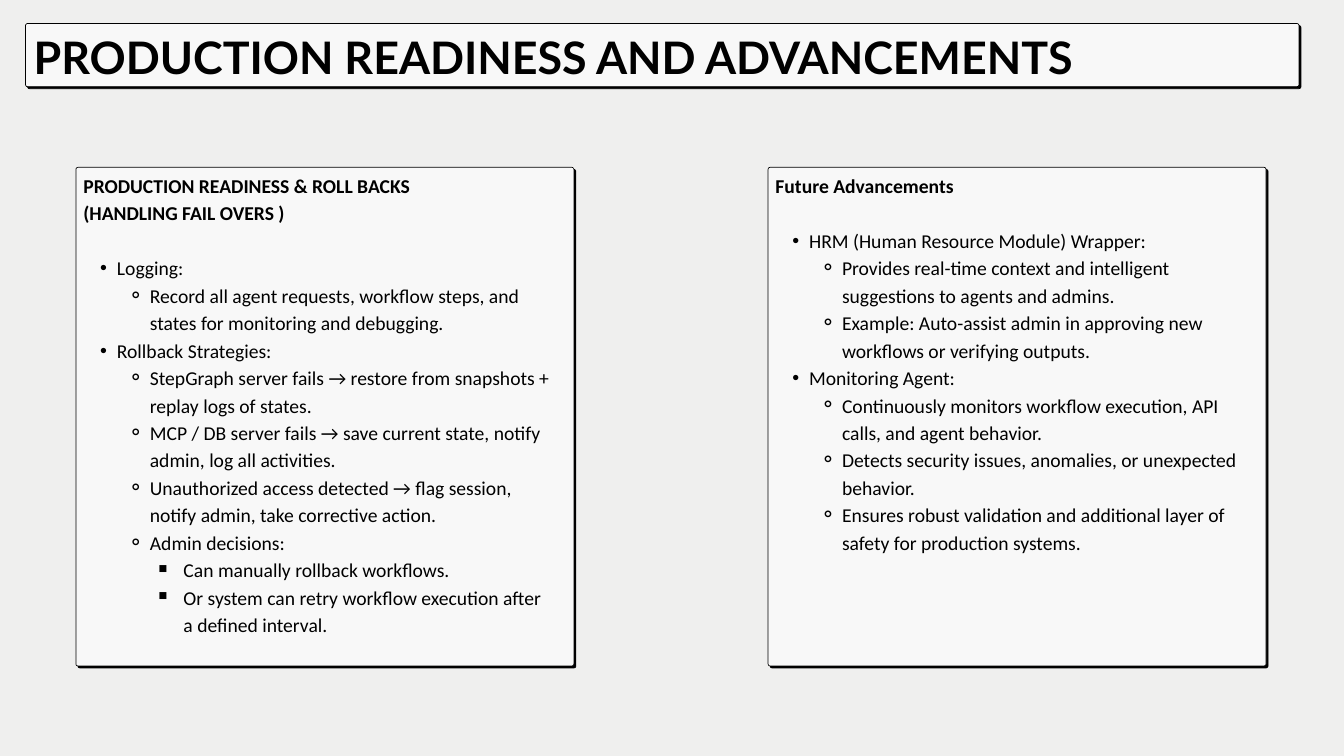
from lxml.etree import SubElement
from pptx import Presentation
from pptx.dml.color import RGBColor
from pptx.enum.shapes import MSO_SHAPE as Preset
from pptx.enum.text import MSO_ANCHOR as Anchor, MSO_AUTO_SIZE as AutoSize, PP_ALIGN as Align
from pptx.oxml.ns import qn
from pptx.util import Inches, Pt

COLORS = {"background": "EFEFEE", "panel": "F8F8F8", "ink": "000000"}
GRID = Inches(0.1)
COLUMNS, ROWS = 200, 112.5
CORNER, SHADOW_STEP = 0.3, 0.3
TITLE_BOX = (3.8, 3.5, 189.5, 9.4)
PANEL_TOP, PANEL_WIDTH, PANEL_HEIGHT = 24.9, 74.1, 74.2
PANEL_LEFTS = (11.3, 114.3)
BODY_LINE, HEADING_GAP = 29.4, 29.4

BULLETS = {1: ("•", 0.5, -0.25), 2: ("⚬", 0.99, -0.33), 3: ("￭", 1.49, -0.37)}

TITLE = "PRODUCTION READINESS AND ADVANCEMENTS"
READINESS = [
    (0, "PRODUCTION READINESS & ROLL BACKS"),
    (0, "(HANDLING FAIL OVERS )"),
    (1, "Logging:"),
    (2, "Record all agent requests, workflow steps, and states for monitoring and debugging."),
    (1, "Rollback Strategies:"),
    (2, "StepGraph server fails → restore from snapshots + replay logs of states."),
    (2, "MCP / DB server fails → save current state, notify admin, log all activities."),
    (2, "Unauthorized access detected → flag session, notify admin, take corrective action."),
    (2, "Admin decisions:"),
    (3, "Can manually rollback workflows."),
    (3, "Or system can retry workflow execution after a defined interval."),
]
ADVANCEMENTS = [
    (0, "Future Advancements"),
    (1, "HRM (Human Resource Module) Wrapper:"),
    (2, "Provides real-time context and intelligent suggestions to agents and admins."),
    (2, "Example: Auto-assist admin in approving new workflows or verifying outputs."),
    (1, "Monitoring Agent:"),
    (2, "Continuously monitors workflow execution, API calls, and agent behavior."),
    (2, "Detects security issues, anomalies, or unexpected behavior."),
    (2, "Ensures robust validation and additional layer of safety for production systems."),
]


def color(name):
    """Return the named palette colour."""
    return RGBColor.from_string(COLORS[name])


def units(*cells):
    """Turn grid cells into slide lengths."""
    return [round(cell * GRID) for cell in cells]


def add_card(slide, left, top, width, height):
    """Draw an outlined rounded panel above its hard offset shadow."""
    for step, fill in ((SHADOW_STEP, "ink"), (0, "panel")):
        box = units(left + step, top + step, width, height)
        card = slide.shapes.add_shape(Preset.ROUNDED_RECTANGLE, *box)
        card.adjustments[0] = CORNER / min(width, height)
        card.shadow.inherit = False
        card.fill.solid()
        card.fill.fore_color.rgb = color(fill)
        card.line.color.rgb = color("ink")
        card.line.width = Pt(0.75)


def place(placeholder, *box):
    """Move a placeholder to the front, without margins, and return its text frame."""
    placeholder.left, placeholder.top, placeholder.width, placeholder.height = units(*box)
    placeholder.element.getparent().append(placeholder.element)
    frame = placeholder.text_frame
    frame.margin_left = frame.margin_top = frame.margin_right = frame.margin_bottom = 0
    frame.vertical_anchor = Anchor.TOP
    frame.auto_size = AutoSize.NONE
    frame.word_wrap = True
    return frame


def write(paragraph, text, font, size, line, bold):
    """Put one formatted run in a left-aligned paragraph."""
    paragraph.alignment = Align.LEFT
    paragraph.line_spacing = Pt(line)
    paragraph.space_before = paragraph.space_after = Pt(0)
    run = paragraph.add_run()
    run.text = text
    run.font.name, run.font.size, run.font.bold = font, Pt(size), bold
    run.font.color.rgb = color("ink")


def set_bullet(paragraph, level):
    """Give a paragraph the bullet and indents of its level."""
    character, margin, indent = BULLETS.get(level, (None, 0, 0))
    paragraph.level = level
    properties = paragraph._p.get_or_add_pPr()
    properties.set("marL", str(Inches(margin)))
    properties.set("indent", str(Inches(indent)))
    if character:
        SubElement(properties, qn("a:buChar"), char=character)
    else:
        SubElement(properties, qn("a:buNone"))


def fill_list(frame, items):
    """Write headings and nested bullets, with a gap below the headings."""
    previous = 0
    for index, (level, text) in enumerate(items):
        paragraph = frame.add_paragraph() if index else frame.paragraphs[0]
        write(paragraph, text, "Calibri", 21, BODY_LINE, level == 0)
        if level and not previous:
            paragraph.space_before = Pt(HEADING_GAP)
        set_bullet(paragraph, level)
        previous = level


def main():
    """Build the slide and save it."""
    presentation = Presentation()
    presentation.slide_width, presentation.slide_height = units(COLUMNS, ROWS)
    slide = presentation.slides.add_slide(presentation.slide_layouts[3])
    slide.background.fill.solid()
    slide.background.fill.fore_color.rgb = color("background")
    title, *bodies = list(slide.placeholders)

    add_card(slide, *TITLE_BOX)
    frame = place(title, 5, 4.5, 188.6, 7.8)
    write(frame.paragraphs[0], TITLE, "Lato", 48, 56.6, True)

    for body, left, items in zip(bodies, PANEL_LEFTS, (READINESS, ADVANCEMENTS)):
        add_card(slide, left, PANEL_TOP, PANEL_WIDTH, PANEL_HEIGHT)
        frame = place(body, left + 1.1, PANEL_TOP + 0.4, 70, PANEL_HEIGHT - 0.8)
        fill_list(frame, items)

    presentation.save("out.pptx")


if __name__ == "__main__":
    main()
